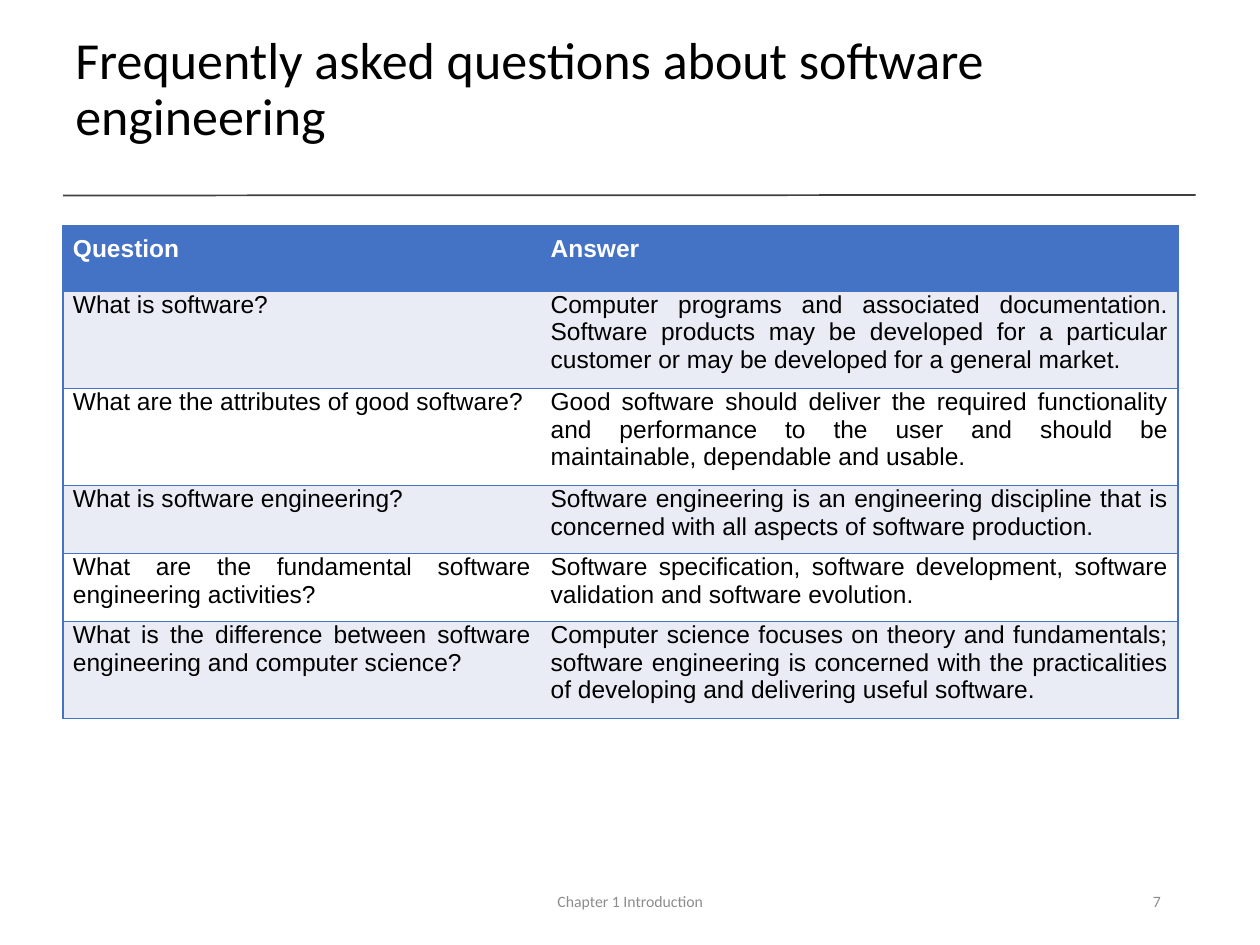
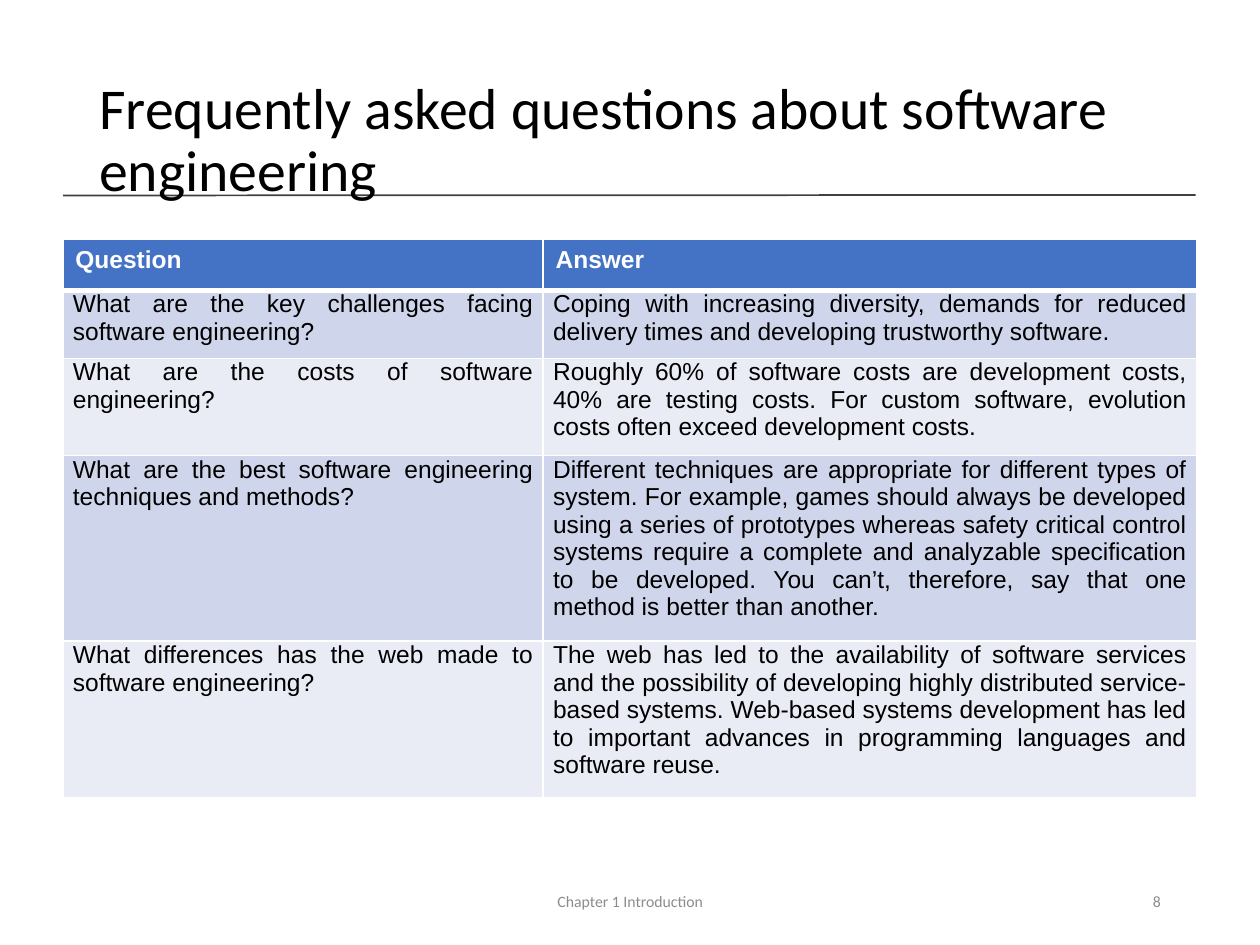
"""Build two slides of frequently asked questions about software engineering."""
from dataclasses import dataclass
from typing import Any, Optional

from lxml.etree import SubElement
from pptx import Presentation
from pptx.dml.color import RGBColor as RGB
from pptx.enum.shapes import MSO_CONNECTOR as Connector
from pptx.enum.text import MSO_ANCHOR as Anchor, PP_ALIGN as Align
from pptx.oxml.ns import qn
from pptx.util import Cm, Pt

COLORS = {
    "ink": "000000", "paper": "FFFFFF", "rule": "404040", "footer": "8C8C8C",
    "accent": "4472C4", "light": "E9EBF5", "band": "CFD5EA",
}
TITLE = "Frequently asked questions about software engineering"
FOOTER = "Chapter 1 Introduction"
HEADER = ("Question", "Answer")
BODY_INSETS = (0.2, 0, 0.2, 0.18)


@dataclass(frozen=True)
class Box:
    left: float
    top: float
    width: float
    height: float


@dataclass(frozen=True)
class TextStyle:
    font: str
    size: float
    color: str
    align: Align = Align.LEFT
    bold: bool = False
    spacing: float = 1.0


@dataclass(frozen=True)
class TableLook:
    line: str
    bands: tuple[str, str]
    header_insets: tuple[float, float, float, float]
    header_align: Align
    header_rule: float
    inner_verticals: bool


@dataclass(frozen=True)
class FaqSlide:
    number: int
    title_box: Box
    title_size: float
    title_anchor: Anchor
    title_inset: float
    left: float
    top: float
    columns: tuple[float, float]
    heights: tuple[float, ...]
    look: TableLook
    faqs: tuple[tuple[str, str], ...]


FOOTER_BOX = Box(8.41, 17.65, 8.59, 1.02)
NUMBER_BOX = Box(17.93, 17.65, 5.72, 1.02)
HEADER_STYLE = {"font": "Arial", "size": 14, "color": "paper", "bold": True}
BODY_STYLE = TextStyle("Arial", 14, "ink", Align.JUSTIFY)

OUTLINED = TableLook("accent", ("light", "paper"), (0.2, 0.2, 0.2, 0.2),
                     Align.JUSTIFY, 1, False)
GRID = TableLook("paper", ("band", "light"), (0.25, 0.13, 0.25, 0.13),
                 Align.LEFT, 3, True)

SLIDES = (
    FaqSlide(
        7, Box(1.27, 0.69, 21.36, 3.28), 29.7, Anchor.TOP, 0,
        1.27, 4.55, (9.63, 12.85), (1.32, 1.85, 1.85, 1.32, 1.32, 1.85), OUTLINED,
        (
            ("What is software?",
             "Computer programs and associated documentation. Software products may be "
             "developed for a particular customer or may be developed for a general market."),
            ("What are the attributes of good software?",
             "Good software should deliver the required functionality and performance to "
             "the user and should be maintainable, dependable and usable."),
            ("What is software engineering?",
             "Software engineering is an engineering discipline that is concerned with all "
             "aspects of software production."),
            ("What are the fundamental software engineering activities?",
             "Software specification, software development, software validation and "
             "software evolution."),
            ("What is the difference between software engineering and computer science?",
             "Computer science focuses on theory and fundamentals; software engineering is "
             "concerned with the practicalities of developing and delivering useful software."),
        ),
    ),
    FaqSlide(
        8, Box(1.75, 1.02, 21.9, 3.68), 33, Anchor.MIDDLE, 0.13,
        1.27, 4.83, (9.68, 13.18), (1.03, 1.28, 1.85, 3.5, 2.95), GRID,
        (
            ("What are the key challenges facing software engineering?",
             "Coping with increasing diversity, demands for reduced delivery times and "
             "developing trustworthy software."),
            ("What are the costs of software engineering?",
             "Roughly 60% of software costs are development costs, 40% are testing costs. "
             "For custom software, evolution costs often exceed development costs."),
            ("What are the best software engineering techniques and methods?",
             "Different techniques are appropriate for different types of system. For "
             "example, games should always be developed using a series of prototypes whereas "
             "safety critical control systems require a complete and analyzable specification "
             "to be developed. You can’t, therefore, say that one method is better than "
             "another."),
            ("What differences has the web made to software engineering?",
             "The web has led to the availability of software services and the possibility "
             "of developing highly distributed service-based systems. Web-based systems "
             "development has led to important advances in programming languages and "
             "software reuse."),
        ),
    ),
)


def rgb(name: str) -> RGB:
    """Return the named colour."""
    return RGB.from_string(COLORS[name])


def set_format(target: Any, formats: dict[str, Any]) -> None:
    """Set each format value on the target."""
    for name, value in formats.items():
        setattr(target, name, value)


def write(tf: Any, text: str, style: TextStyle) -> None:
    """Write one styled paragraph into a text frame."""
    p = tf.paragraphs[0]
    set_format(p, {"alignment": style.align, "line_spacing": style.spacing})
    r = p.add_run()
    r.text = text
    set_format(r.font, {"name": style.font, "size": Pt(style.size), "bold": style.bold})
    r.font.color.rgb = rgb(style.color)


def add_text(s: Any, box: Box, text: str, style: TextStyle,
             anchor: Anchor = Anchor.MIDDLE, inset: float = 0.13) -> None:
    """Add a wrapped text box."""
    sp = s.shapes.add_textbox(Cm(box.left), Cm(box.top), Cm(box.width), Cm(box.height))
    set_format(sp.text_frame, {"word_wrap": True, "vertical_anchor": anchor,
                               "margin_top": Cm(inset), "margin_bottom": Cm(inset)})
    write(sp.text_frame, text, style)


def add_rule(s: Any) -> None:
    """Draw the thin line under the title."""
    line = s.shapes.add_connector(Connector.STRAIGHT, Cm(1.27), Cm(3.94), Cm(24.1), Cm(3.93))
    line.line.color.rgb = rgb("rule")
    line.line.width = Pt(1)
    SubElement(line._element.spPr, qn("a:effectLst"))


def add_border(cell: Any, side: str, color: str, width: Optional[float]) -> None:
    """Add one cell border, or an invisible one when there is no width."""
    tc_pr = cell._tc.get_or_add_tcPr()
    ln = SubElement(tc_pr, qn(f"a:ln{side}"), w=str(Pt(width or 0)))
    if width is None:
        SubElement(ln, qn("a:noFill"))
    else:
        fill = SubElement(ln, qn("a:solidFill"))
        SubElement(fill, qn("a:srgbClr"), val=COLORS[color])


def fill_cell(cell: Any, text: str, row: int, col: int, look: TableLook) -> None:
    """Style one table cell by its place and write its text."""
    is_header = row == 0
    inner = 1 if look.inner_verticals else None
    widths = {
        "L": inner if col else 1,
        "R": 1 if col else inner,
        "T": look.header_rule if row == 1 else 1,
        "B": look.header_rule if is_header else 1,
    }
    for side, width in widths.items():
        add_border(cell, side, look.line, width)
    cell.fill.solid()
    cell.fill.fore_color.rgb = rgb("accent" if is_header else look.bands[(row - 1) % 2])
    insets = look.header_insets if is_header else BODY_INSETS
    sides = ("left", "top", "right", "bottom")
    set_format(cell, {f"margin_{side}": Cm(inset) for side, inset in zip(sides, insets)})
    style = TextStyle(align=look.header_align, **HEADER_STYLE) if is_header else BODY_STYLE
    write(cell.text_frame, text, style)


def add_faq_table(s: Any, faq: FaqSlide) -> None:
    """Add the table of questions and answers."""
    rows = (HEADER, *faq.faqs)
    frame = s.shapes.add_table(len(rows), len(HEADER), Cm(faq.left), Cm(faq.top),
                               Cm(sum(faq.columns)), Cm(sum(faq.heights)))
    table = frame.table
    set_format(table, {"first_row": False, "horz_banding": False})
    for column, width in zip(table.columns, faq.columns):
        column.width = Cm(width)
    for i, (texts, height) in enumerate(zip(rows, faq.heights)):
        table.rows[i].height = Cm(height)
        for j, text in enumerate(texts):
            fill_cell(table.cell(i, j), text, i, j, faq.look)


def add_faq_slide(prs: Any, faq: FaqSlide) -> None:
    """Add one complete slide."""
    s = prs.slides.add_slide(prs.slide_layouts[6])
    add_rule(s)
    add_text(s, faq.title_box, TITLE, TextStyle("Calibri", faq.title_size, "ink", spacing=0.9),
             faq.title_anchor, faq.title_inset)
    add_faq_table(s, faq)
    add_text(s, FOOTER_BOX, FOOTER, TextStyle("Calibri", 9, "footer", Align.CENTER))
    add_text(s, NUMBER_BOX, str(faq.number), TextStyle("Calibri", 9, "footer", Align.RIGHT))


def main() -> None:
    """Build and save the presentation."""
    prs = Presentation()
    set_format(prs, {"slide_width": Cm(25.4), "slide_height": Cm(19.05)})
    for faq in SLIDES:
        add_faq_slide(prs, faq)
    prs.save("out.pptx")


if __name__ == "__main__":
    main()
